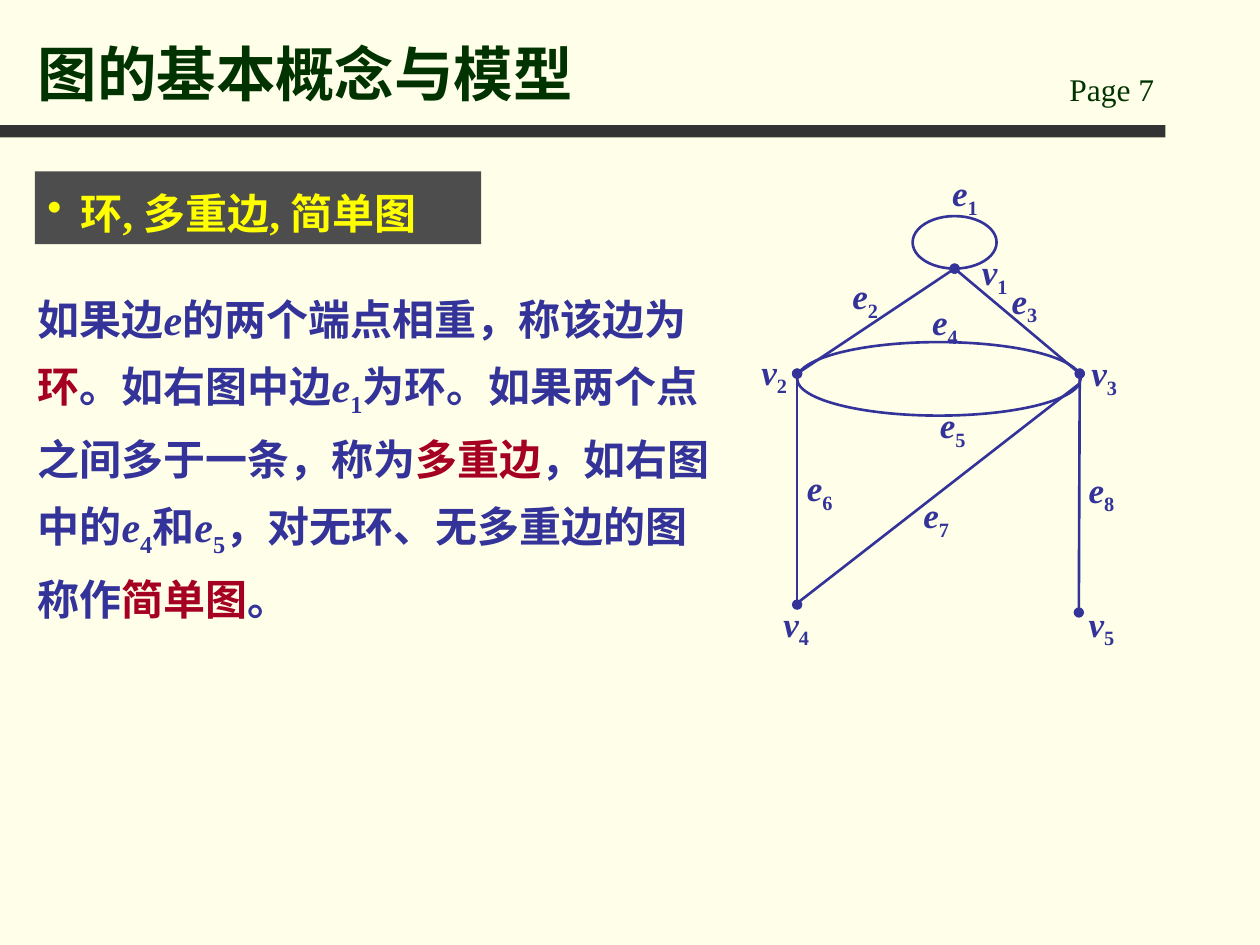
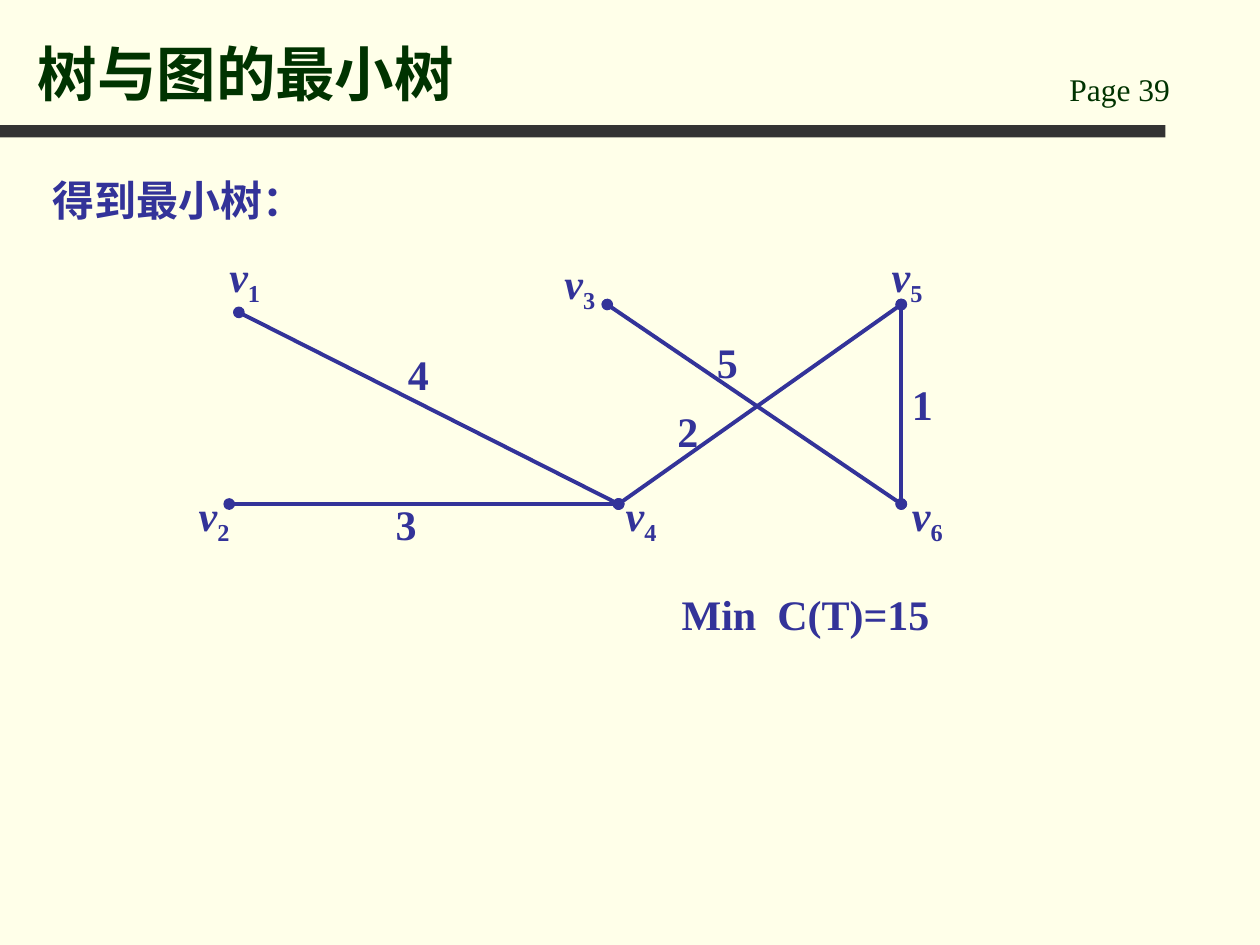
from lxml import etree
from pptx import Presentation
from pptx.dml.color import RGBColor
from pptx.enum import shapes, text
from pptx.oxml import ns
from pptx.util import Pt

CREAM = RGBColor(0xFF, 0xFF, 0xE9)
CHARCOAL = RGBColor(0x33, 0x33, 0x33)
GRAY = RGBColor(0x4D, 0x4D, 0x4D)
GREEN = RGBColor(0x00, 0x33, 0x00)
YELLOW = RGBColor(0xFF, 0xFF, 0x00)
BLUE = RGBColor(0x33, 0x33, 0x99)
CRIMSON = RGBColor(0xA5, 0x00, 0x21)
FONT = "Times New Roman"
TITLE_ONLY = 5
PLAIN, VARIABLE, SUBSCRIPT, TERM = range(4)


def format_paragraph(paragraph, size, color, bold=True):
    font = paragraph.font
    font.name, font.size, font.bold = FONT, Pt(size), bold
    font.color.rgb = color


def add_runs(paragraph, parts):
    for content, style in parts:
        run = paragraph.add_run()
        run.text = content
        if style == VARIABLE:
            run.font.italic = True
        elif style == SUBSCRIPT:
            run._r.get_or_add_rPr().set("baseline", "-25000")
        elif style == TERM:
            run.font.color.rgb = CRIMSON


def add_text(slide, parts, box, size, color=BLUE, bold=True, wrap=True, spacing=None):
    shape = slide.shapes.add_textbox(*map(Pt, box))
    frame = shape.text_frame
    frame.word_wrap = wrap
    frame.auto_size = text.MSO_AUTO_SIZE.SHAPE_TO_FIT_TEXT
    paragraph = frame.paragraphs[0]
    add_runs(paragraph, [(parts, PLAIN)] if isinstance(parts, str) else parts)
    format_paragraph(paragraph, size, color, bold)
    if spacing:
        paragraph.line_spacing = spacing


def add_symbol(slide, name, left, top, size):
    parts = [(name[0], VARIABLE), (name[1], SUBSCRIPT)]
    add_text(slide, parts, (left, top, size * 0.9 + 11.5, size * 1.2 + 7.2), size, wrap=False)


def add_box(slide, box, fill):
    shape = slide.shapes.add_shape(shapes.MSO_SHAPE.RECTANGLE, *map(Pt, box))
    shape.shadow.inherit = False
    shape.fill.solid()
    shape.fill.fore_color.rgb = fill
    shape.line.fill.background()
    return shape


def add_ellipse(slide, box, width):
    shape = slide.shapes.add_shape(shapes.MSO_SHAPE.OVAL, *map(Pt, box))
    shape.shadow.inherit = False
    shape.fill.background()
    shape.line.color.rgb = BLUE
    shape.line.width = Pt(width)


def add_edge(slide, start, end, width, dots=True):
    edge = slide.shapes.add_connector(shapes.MSO_CONNECTOR.STRAIGHT, *map(Pt, (*start, *end)))
    edge.line.color.rgb = BLUE
    edge.line.width = Pt(width)
    if dots:
        line = edge.line._get_or_add_ln()
        for tag in ("a:headEnd", "a:tailEnd"):
            etree.SubElement(line, ns.qn(tag), type="oval")
    etree.SubElement(edge._element.spPr, ns.qn("a:effectLst"))


def add_bullet_heading(slide, content, box):
    frame = add_box(slide, box, GRAY).text_frame
    frame.word_wrap = True
    frame.vertical_anchor = text.MSO_ANCHOR.TOP
    paragraph = frame.paragraphs[0]
    paragraph.text = content
    paragraph.alignment = text.PP_ALIGN.LEFT
    paragraph.line_spacing = 1.2
    properties = paragraph._p.get_or_add_pPr()
    properties.set("marL", str(Pt(19)))
    properties.set("indent", str(Pt(-19)))
    etree.SubElement(properties, ns.qn("a:buChar"), char="•")
    format_paragraph(paragraph, 24, YELLOW)


def add_slide(presentation, heading, page):
    slide = presentation.slides.add_slide(presentation.slide_layouts[TITLE_ONLY])
    add_box(slide, (0, 71.5, 666, 7), CHARCOAL)
    add_text(slide, f"Page {page}", (604, 36.7, 102, 29), 18, GREEN, bold=False)
    title = slide.shapes.title
    title.left, title.top, title.width, title.height = map(Pt, (14.4, 9.4, 578, 56))
    frame = title.text_frame
    frame.text = heading
    frame.vertical_anchor = text.MSO_ANCHOR.BOTTOM
    frame.paragraphs[0].alignment = text.PP_ALIGN.LEFT
    format_paragraph(frame.paragraphs[0], 34, GREEN)
    return slide


def build_concepts(presentation):
    slide = add_slide(presentation, "图的基本概念与模型", 7)
    add_bullet_heading(slide, "环, 多重边, 简单图", (20, 98, 255, 41.5))
    definition = [
        ("如果边", PLAIN), ("e", VARIABLE), ("的两个端点相重，称该边为", PLAIN),
        ("环", TERM), ("。如右图中边", PLAIN), ("e", VARIABLE), ("1", SUBSCRIPT),
        ("为环。如果两个点之间多于一条，称为", PLAIN), ("多重边", TERM),
        ("，如右图中的", PLAIN), ("e", VARIABLE), ("4", SUBSCRIPT), ("和", PLAIN),
        ("e", VARIABLE), ("5", SUBSCRIPT), ("，对无环、无多重边的图称作", PLAIN),
        ("简单图", TERM), ("。", PLAIN),
    ]
    add_text(slide, definition, (14.4, 155.5, 408, 194.4), 24, spacing=1.3)

    v1, v2, v3 = (545.5, 153.5), (455.5, 213.5), (617, 213.5)
    v4, v5 = (455.5, 345.5), (616.5, 350)
    for start, end in ((v1, v2), (v1, v3), (v2, v4), (v3, v5)):
        add_edge(slide, start, end, 1.5)
    add_edge(slide, (616.5, 219.5), (454.5, 345.5), 1.5, dots=False)
    for box in ((521.5, 123.5, 48, 30), (455.5, 195.5, 162, 42)):
        add_ellipse(slide, box, 1.5)
    symbols = {
        "e1": (537, 94.5), "e2": (480, 153.5), "e3": (571, 156), "e4": (525.5, 168),
        "e5": (530, 227), "e6": (454, 263), "e7": (520.5, 278.5), "e8": (615, 264),
        "v1": (554, 139.5), "v2": (428, 196.5), "v3": (616.5, 197.5),
        "v4": (440.5, 340.5), "v5": (615, 340.5),
    }
    for name, (left, top) in symbols.items():
        add_symbol(slide, name, left, top, 20)


def build_minimum_tree(presentation):
    slide = add_slide(presentation, "树与图的最小树", 39)
    add_text(slide, "得到最小树：", (23, 96, 158.5, 36), 24, wrap=False)
    upper, lower = 174, 288
    nodes = {
        "v1": (136.5, 178.5), "v2": (131, lower), "v3": (347, upper),
        "v4": (353.5, lower), "v5": (515, upper), "v6": (515, lower),
    }
    weighted_edges = [
        ("v2", "v4", "3", 219, 281.5), ("v1", "v4", "4", 226, 195.5),
        ("v5", "v4", "2", 380, 228), ("v3", "v6", "5", 402.5, 188.5),
        ("v5", "v6", "1", 514, 213),
    ]
    for start, end, weight, left, top in weighted_edges:
        add_edge(slide, nodes[start], nodes[end], 2.25)
        add_text(slide, weight, (left, top, 26.5, 36), 24, wrap=False)
    symbols = {
        "v1": (124, 139.5), "v2": (106.5, 276), "v3": (315.5, 143.5),
        "v4": (350.5, 276), "v5": (502.5, 139.5), "v6": (514, 276),
    }
    for name, (left, top) in symbols.items():
        add_symbol(slide, name, left, top, 24)
    add_text(slide, "Min  C(T)=15", (382.5, 332.5, 232.5, 36), 24)


def main():
    presentation = Presentation()
    presentation.slide_width, presentation.slide_height = Pt(720), Pt(540)
    background = presentation.slide_master.background.fill
    background.solid()
    background.fore_color.rgb = CREAM
    build_concepts(presentation)
    build_minimum_tree(presentation)
    presentation.save("out.pptx")


if __name__ == "__main__":
    main()
